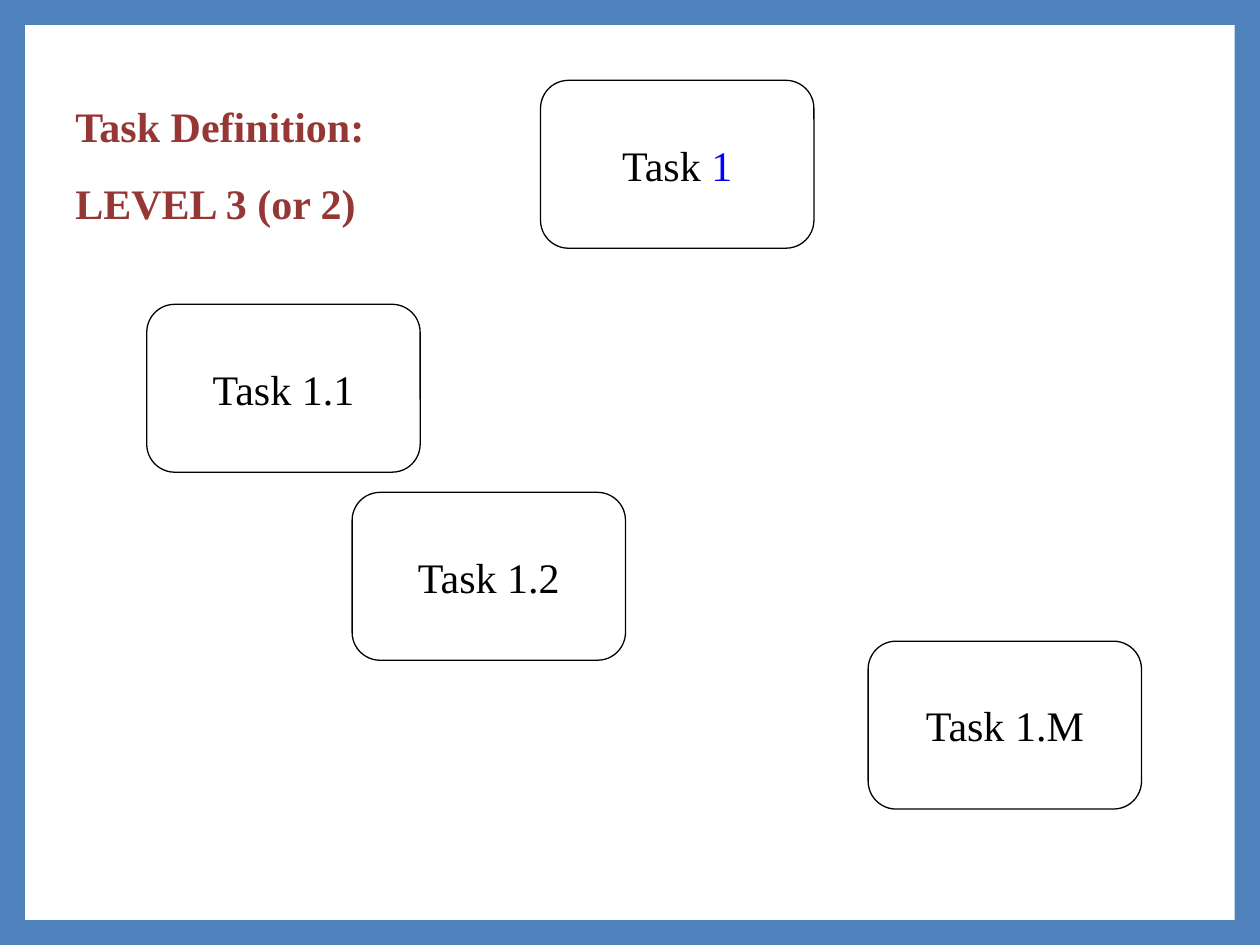
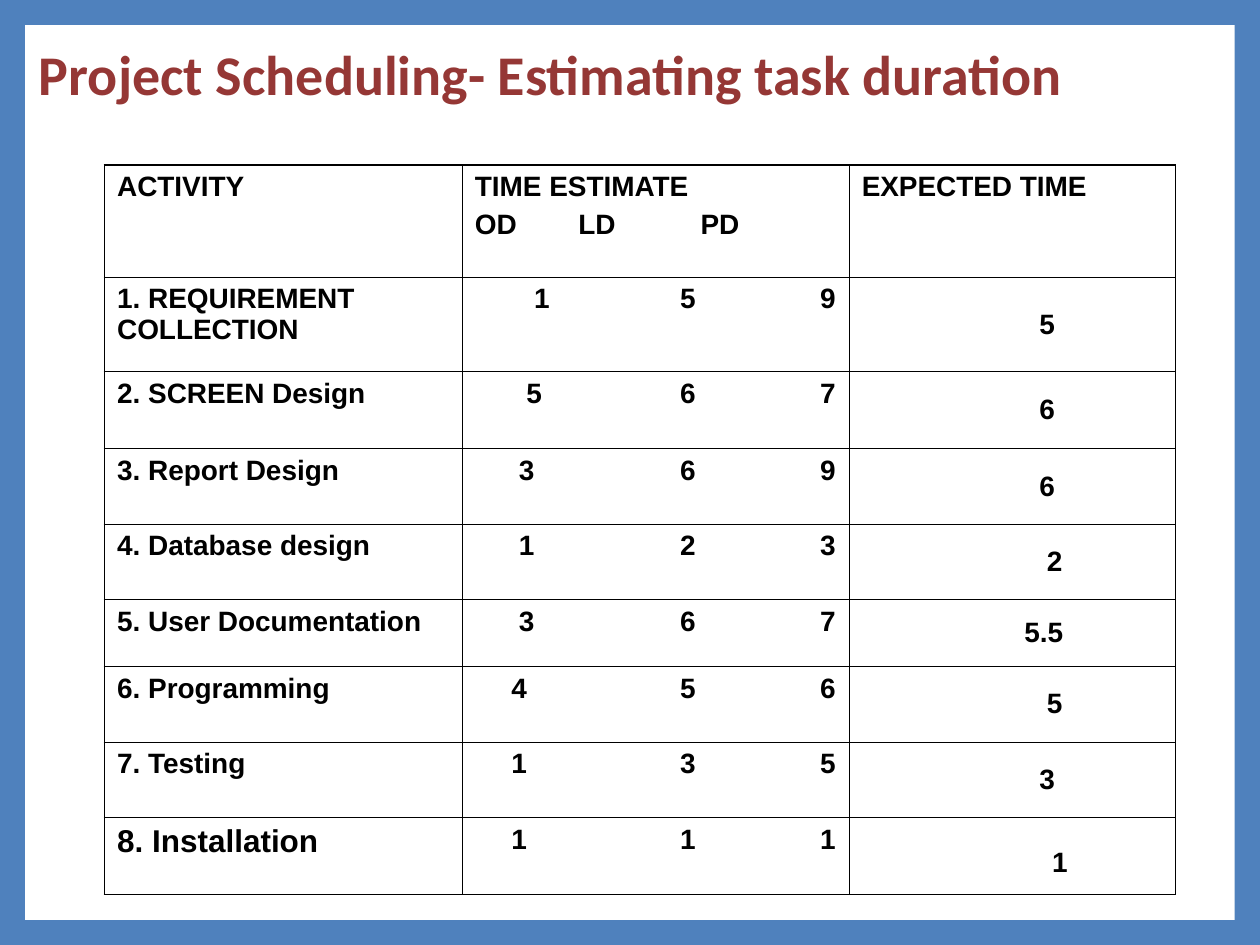
from dataclasses import dataclass
from lxml.etree import SubElement
from pptx import Presentation
from pptx.dml.color import RGBColor
from pptx.enum.shapes import MSO_SHAPE
from pptx.enum.text import MSO_ANCHOR, PP_ALIGN
from pptx.oxml.ns import qn
from pptx.util import Inches, Pt


@dataclass(frozen=True)
class Theme:
    frame: str = "4F81BD"
    paper: str = "FFFFFF"
    title: str = "953735"
    ink: str = "000000"
    mark: str = "0000FF"
    serif: str = "Times New Roman"
    sans: str = "Arial"
    head: str = "Calibri"
    task: int = 24
    top: int = 32
    cell: int = 16
    last: int = 18
    thin: float = 0.45
    thick: float = 1.08


T = Theme()
WIDE, HIGH = Inches(10), Inches(7.5)
PANEL = (2, 2.67, 96, 94.66)

LEVEL = ["Task Definition:", "LEVEL 3 (or 2)"]
LEVEL_AT = (5, 10, 31.6, 14.8)
TASK_SIZE = (21.7, 17.77)
TASKS = [
    (("Task 1.2",), 27.95, 52.1),
    (("Task 1.1",), 11.65, 32.2),
    (("Task 1.M",), 68.9, 67.85),
    (("Task ", "1"), 42.9, 8.5),
]

TITLE = "Project Scheduling- Estimating task duration"
TITLE_AT = (2.1, 3.33, 91.1, 9.73)
GRID_AT = (8.3, 17.47, 85, 77.2)
COLS = [2.84, 3.07, 2.59]
ROWS = [0.89, 0.75, 0.61, 0.6, 0.6, 0.53, 0.6, 0.6, 0.61]
HEADS = ["ACTIVITY", "TIME ESTIMATE", "EXPECTED TIME"]
KEYS = ["OD", "LD", "PD"]
KEY_TABS = [(0.82, "l"), (1.79, "l")]
LD_TAB, PD_TAB = 1.69, 2.8
JOBS = [
    ("1. REQUIREMENT COLLECTION", (1, 5, 9), 0.53, "5", 1.41),
    ("2. SCREEN Design", (5, 6, 7), 0.47, "6", 1.41),
    ("3. Report Design", (3, 6, 9), 0.41, "6", 1.41),
    ("4. Database design", (1, 2, 3), 0.41, "2", 1.47),
    ("5. User Documentation", (3, 6, 7), 0.41, "5.5", 1.29),
    ("6. Programming", (4, 5, 6), 0.35, "5", 1.47),
    ("7. Testing", (1, 3, 5), 0.35, "3", 1.41),
    ("8. Installation", (1, 1, 1), 0.35, "1", 1.51),
]


def place(x, y, w, h):
    return [int(v * side / 100) for v, side in zip((x, y, w, h), (WIDE, HIGH) * 2)]


def paint(fill, color):
    fill.solid()
    fill.fore_color.rgb = RGBColor.from_string(color)


def style(para, face, size, color, bold=False):
    font = para.font
    font.name, font.size, font.bold = face, Pt(size), bold
    font.color.rgb = RGBColor.from_string(color)


def new_slide(deck):
    slide = deck.slides.add_slide(deck.slide_layouts[6])
    paint(slide.background.fill, T.frame)
    panel = slide.shapes.add_shape(MSO_SHAPE.RECTANGLE, *place(*PANEL))
    panel.shadow.inherit = False
    paint(panel.fill, T.paper)
    panel.line.fill.background()
    return slide


def add_text(slide, spot, lines, face, size, gap=0):
    frame = slide.shapes.add_textbox(*place(*spot)).text_frame
    frame.word_wrap = True
    frame.text = "\n".join(lines)
    for i, para in enumerate(frame.paragraphs):
        if i:
            para.space_before = Pt(gap)
        style(para, face, size, T.title, True)
    return frame


def add_task(slide, parts, x, y):
    box = slide.shapes.add_shape(MSO_SHAPE.ROUNDED_RECTANGLE, *place(x, y, *TASK_SIZE))
    box.shadow.inherit = False
    paint(box.fill, T.paper)
    paint(box.line.fill, T.ink)
    box.line.width = Pt(0.75)
    frame = box.text_frame
    frame.word_wrap = False
    frame.vertical_anchor = MSO_ANCHOR.MIDDLE
    para = frame.paragraphs[0]
    para.alignment = PP_ALIGN.CENTER
    style(para, T.serif, T.task, T.ink)
    for i, part in enumerate(parts):
        run = para.add_run()
        run.text = part
        if i:
            run.font.color.rgb = RGBColor.from_string(T.mark)


def set_tabs(para, stops):
    tabs = SubElement(para._p.get_or_add_pPr(), qn("a:tabLst"))
    for pos, kind in stops:
        SubElement(tabs, qn("a:tab"), pos=str(Inches(pos)), algn=kind)


def rule_cell(cell, row, col):
    edges = {"L": col == 0, "R": col == len(COLS) - 1,
             "T": row == 0, "B": row == len(ROWS) - 1}
    props = cell._tc.get_or_add_tcPr()
    for side, outer in edges.items():
        line = SubElement(props, qn("a:ln" + side), w=str(Pt(T.thick if outer else T.thin)))
        fill = SubElement(line, qn("a:solidFill"))
        SubElement(fill, qn("a:srgbClr"), val=T.ink)
    cell.fill.background()


def fill_job(cells, job):
    name, times, first, mean, inset = job
    cells[0].text = name
    cells[1].text = "".join(f"\t{t}" for t in times)
    set_tabs(cells[1].text_frame.paragraphs[0],
             [(first, "ctr"), (LD_TAB, "ctr"), (PD_TAB, "ctr")])
    cells[2].text = mean
    cells[2].vertical_anchor = MSO_ANCHOR.MIDDLE
    cells[2].text_frame.paragraphs[0]._p.get_or_add_pPr().set("marL", str(Inches(inset)))


def add_grid(slide):
    grid = slide.shapes.add_table(len(ROWS), len(COLS), *place(*GRID_AT)).table
    grid.first_row = grid.horz_banding = False
    for col, wide in zip(grid.columns, COLS):
        col.width = Inches(wide)
    for row, high in zip(grid.rows, ROWS):
        row.height = Inches(high)
    for cell, head in zip(grid.rows[0].cells, HEADS):
        cell.text = head
    keys = grid.cell(0, 1).text_frame.add_paragraph()
    keys.text = "\t".join(KEYS)
    set_tabs(keys, KEY_TABS)
    keys.space_before = Pt(4)
    for r, job in enumerate(JOBS, 1):
        fill_job([grid.cell(r, c) for c in range(len(COLS))], job)
    end = len(JOBS)
    grid.cell(end, 2).margin_top = Inches(0.16)
    for r in range(len(ROWS)):
        for c in range(len(COLS)):
            cell = grid.cell(r, c)
            rule_cell(cell, r, c)
            size = T.last if (r, c) == (end, 0) else T.cell
            for para in cell.text_frame.paragraphs:
                style(para, T.sans, size, T.ink, True)


def main():
    deck = Presentation()
    deck.slide_width, deck.slide_height = WIDE, HIGH
    tasks = new_slide(deck)
    add_text(tasks, LEVEL_AT, LEVEL, T.serif, T.task, 15)
    for task in TASKS:
        add_task(tasks, *task)
    times = new_slide(deck)
    title = add_text(times, TITLE_AT, [TITLE], T.head, T.top)
    title.vertical_anchor = MSO_ANCHOR.MIDDLE
    title.paragraphs[0].line_spacing = 0.9
    add_grid(times)
    deck.save("out.pptx")


if __name__ == "__main__":
    main()
